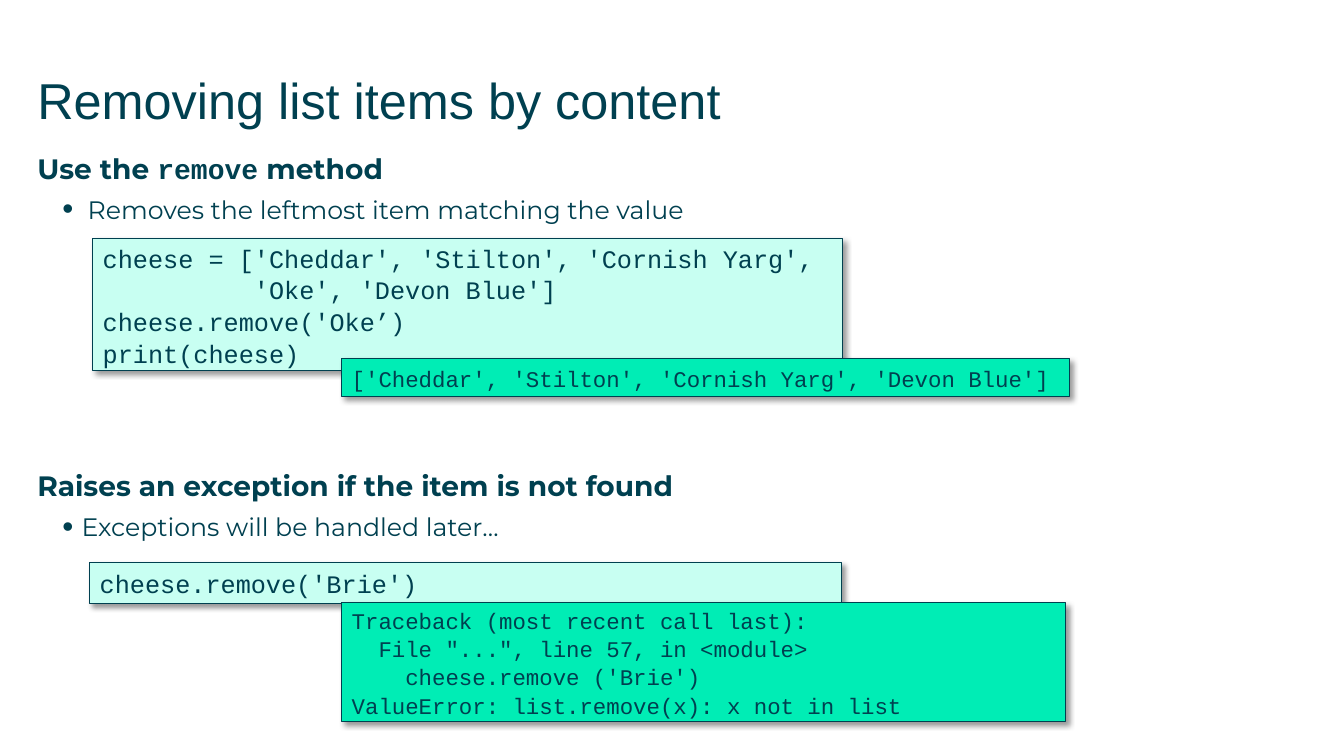
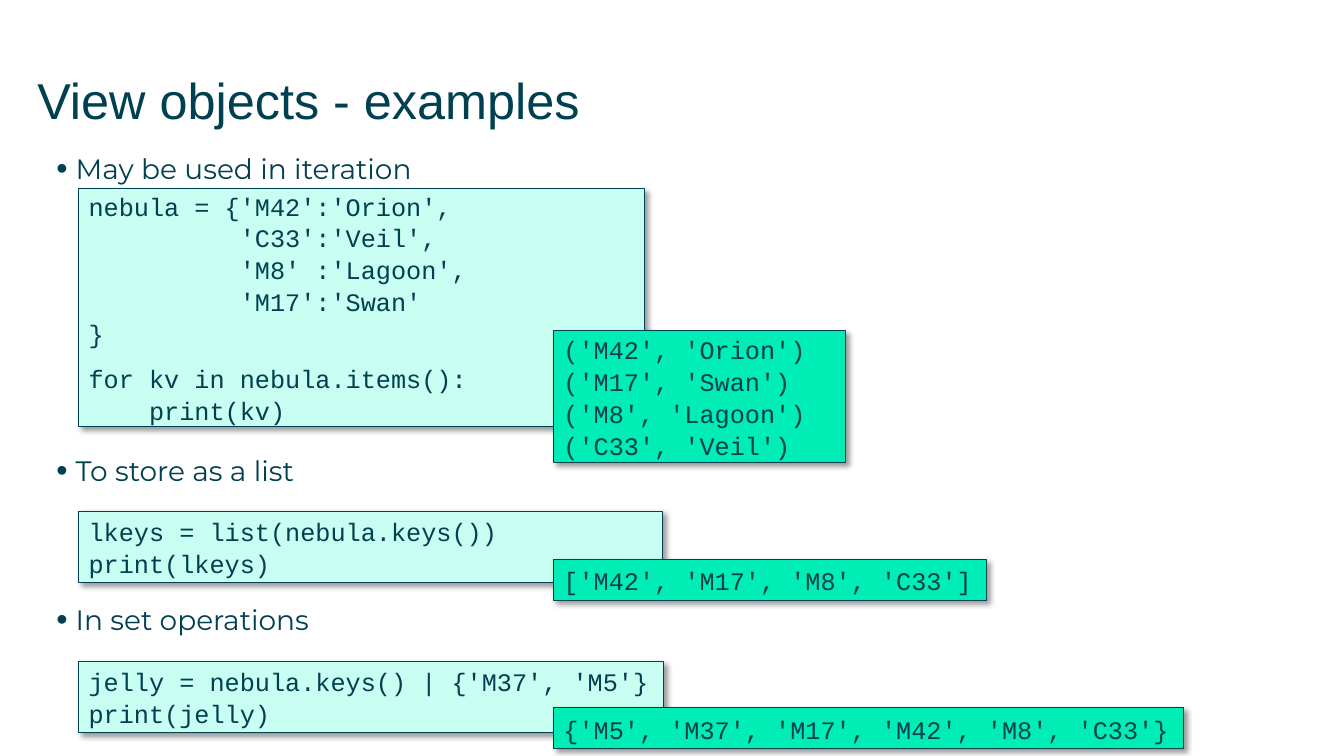
from dataclasses import dataclass
from lxml.etree import SubElement
from pptx import Presentation
from pptx.dml.color import RGBColor
from pptx.enum.shapes import MSO_SHAPE
from pptx.enum.text import MSO_ANCHOR, PP_ALIGN
from pptx.oxml.ns import qn
from pptx.util import Inches, Pt


@dataclass(frozen=True)
class Theme:
    ink: RGBColor = RGBColor(0x00, 0x40, 0x50)
    code_fill: RGBColor = RGBColor(0xC8, 0xFF, 0xF2)
    output_fill: RGBColor = RGBColor(0x00, 0xED, 0xB5)
    title_font: str = "Arial"
    body_font: str = "Montserrat"
    code_font: str = "Courier New"
    title_size: int = 36
    heading_size: int = 20
    text_size: int = 18
    small_size: int = 16
    paragraph_gap: float = 6.5
    code_spacing: float = 1.05
    block_gap: float = 14


THEME = Theme()
LEFT, WIDTH = 0.37, 12.6
BODY_TOP = 1.5
OUTPUT_LEFT_1, OUTPUT_LEFT_2 = 3.39, 5.49


def apply_format(target, values):
    for name, value in values.items():
        setattr(target, name, value)


def add_span(para, text, font_name, size, bold=False):
    span = para.add_run()
    span.text = text
    apply_format(span.font, {"name": font_name, "size": Pt(size), "bold": bold})
    span.font.color.rgb = THEME.ink


def add_bullet(para, margin, hang, percent):
    properties = para._p.get_or_add_pPr()
    properties.set("marL", str(Inches(margin)))
    properties.set("indent", str(-Inches(hang)))
    SubElement(properties, qn("a:buSzPct"), val=str(percent * 1000))
    SubElement(properties, qn("a:buFont"), typeface=THEME.title_font)
    SubElement(properties, qn("a:buChar"), char="•")


def add_text_frame(page, top, height):
    box = page.shapes.add_textbox(Inches(LEFT), Inches(top), Inches(WIDTH), Inches(height))
    margins = ("margin_left", "margin_top", "margin_right", "margin_bottom")
    apply_format(box.text_frame, {"word_wrap": True, **dict.fromkeys(margins, 0)})
    return box.text_frame


def add_title(page, text):
    frame = add_text_frame(page, 0.69, 0.8)
    add_span(frame.paragraphs[0], text, THEME.title_font, THEME.title_size)


def add_section(page, top, heading, point, margin, hang):
    frame = add_text_frame(page, top, 0.74)
    para = frame.paragraphs[0]
    para.space_after = Pt(THEME.paragraph_gap)
    for text, font_name in heading:
        add_span(para, text, font_name, THEME.heading_size, True)
    para = frame.add_paragraph()
    add_bullet(para, margin, hang, 125)
    add_span(para, point, THEME.body_font, THEME.text_size)


def add_point(page, top, text):
    para = add_text_frame(page, top, 0.34).paragraphs[0]
    add_bullet(para, 0.38, 0.19, 115)
    add_span(para, text, THEME.body_font, THEME.heading_size)


def add_shadow(shape):
    shape.shadow.inherit = False
    effects = shape._element.spPr.find(qn("a:effectLst"))
    shadow = SubElement(effects, qn("a:outerShdw"), blurRad=str(Pt(4)), dist=str(Pt(3)),
                        dir="2700000", algn="tl", rotWithShape="0")
    color = SubElement(shadow, qn("a:srgbClr"), val="000000")
    SubElement(color, qn("a:alpha"), val="40000")


def add_code(page, box, blocks, fill, size=THEME.text_size):
    shape = page.shapes.add_shape(MSO_SHAPE.RECTANGLE, *map(Inches, box))
    shape.fill.solid()
    shape.fill.fore_color.rgb = fill
    shape.line.color.rgb = THEME.ink
    shape.line.width = Pt(0.75)
    add_shadow(shape)
    frame = shape.text_frame
    apply_format(frame, {"word_wrap": True, "vertical_anchor": MSO_ANCHOR.MIDDLE})
    para = frame.paragraphs[0]
    for block_index, block in enumerate(blocks):
        for line_index, line in enumerate(block.splitlines()):
            if block_index or line_index:
                para = frame.add_paragraph()
            apply_format(para, {"alignment": PP_ALIGN.LEFT, "line_spacing": THEME.code_spacing})
            if block_index and not line_index:
                para.space_before = Pt(THEME.block_gap * 0.7)
            add_span(para, line, THEME.code_font, size)


def add_example(page, code_box, code, output_box, output, output_size=THEME.text_size):
    add_code(page, code_box, code, THEME.code_fill)
    add_code(page, output_box, [output], THEME.output_fill, output_size)


def build_removing_page(page):
    add_title(page, "Removing list items by content")
    add_section(
        page, BODY_TOP,
        [("Use the ", THEME.body_font), ("remove", THEME.code_font), (" method", THEME.body_font)],
        "Removes the leftmost item matching the value", 0.5, 0.25)
    add_section(
        page, 4.65, [("Raises an exception if the item is not found", THEME.body_font)],
        "Exceptions will be handled later…", 0.44, 0.19)
    add_example(
        page, (0.92, 2.37, 7.44, 1.31),
        ["""cheese = ['Cheddar', 'Stilton', 'Cornish Yarg',
          'Oke', 'Devon Blue']
cheese.remove('Oke’)
print(cheese)"""],
        (OUTPUT_LEFT_1, 3.56, 7.22, 0.37),
        "['Cheddar', 'Stilton', 'Cornish Yarg', 'Devon Blue']", THEME.small_size)
    add_example(
        page, (0.89, 5.58, 7.46, 0.41), ["cheese.remove('Brie')"],
        (OUTPUT_LEFT_1, 5.98, 7.18, 1.18),
        """Traceback (most recent call last):
  File "...", line 57, in <module>
    cheese.remove ('Brie')
ValueError: list.remove(x): x not in list""", THEME.small_size)


def build_views_page(page):
    add_title(page, "View objects - examples")
    points = ("May be used in iteration", "To store as a list", "In set operations")
    for top, text in zip((BODY_TOP, 4.5, 5.98), points):
        add_point(page, top, text)
    add_example(
        page, (0.78, 1.87, 5.61, 2.36),
        ["""nebula = {'M42':'Orion',
          'C33':'Veil',
          'M8' :'Lagoon',
          'M17':'Swan'
}""", """for kv in nebula.items():
    print(kv)"""],
        (OUTPUT_LEFT_2, 3.28, 2.9, 1.31),
        """('M42', 'Orion')
('M17', 'Swan')
('M8', 'Lagoon')
('C33', 'Veil')""")
    add_example(
        page, (0.78, 5.07, 5.79, 0.71), ["lkeys = list(nebula.keys())\nprint(lkeys)"],
        (OUTPUT_LEFT_2, 5.55, 4.29, 0.41), "['M42', 'M17', 'M8', 'C33']")
    add_example(
        page, (0.78, 6.56, 5.8, 0.71), ["jelly = nebula.keys() | {'M37', 'M5'}\nprint(jelly)"],
        (OUTPUT_LEFT_2, 7.02, 6.25, 0.41), "{'M5', 'M37', 'M17', 'M42', 'M8', 'C33'}")


def main():
    deck = Presentation()
    apply_format(deck, {"slide_width": Inches(13.33), "slide_height": Inches(7.5)})
    for build in (build_removing_page, build_views_page):
        build(deck.slides.add_slide(deck.slide_layouts[6]))
    deck.save("out.pptx")


if __name__ == "__main__":
    main()
